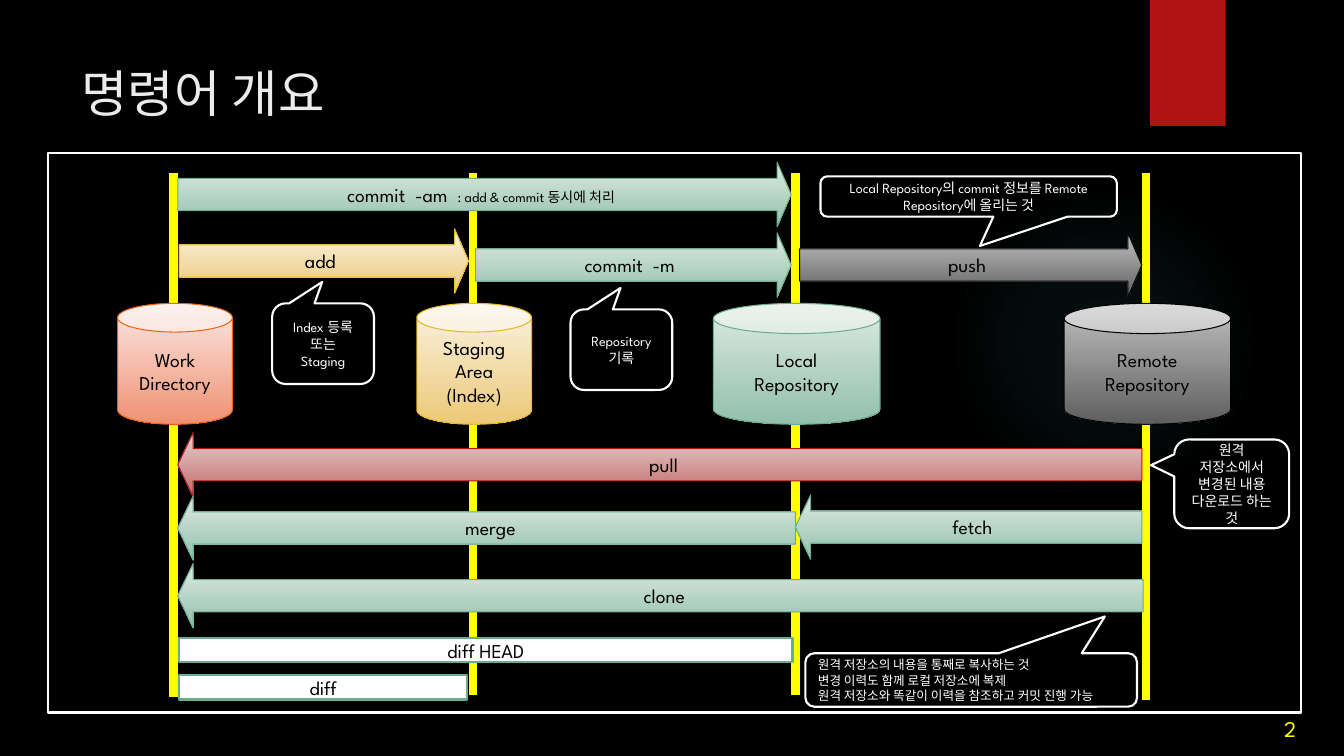
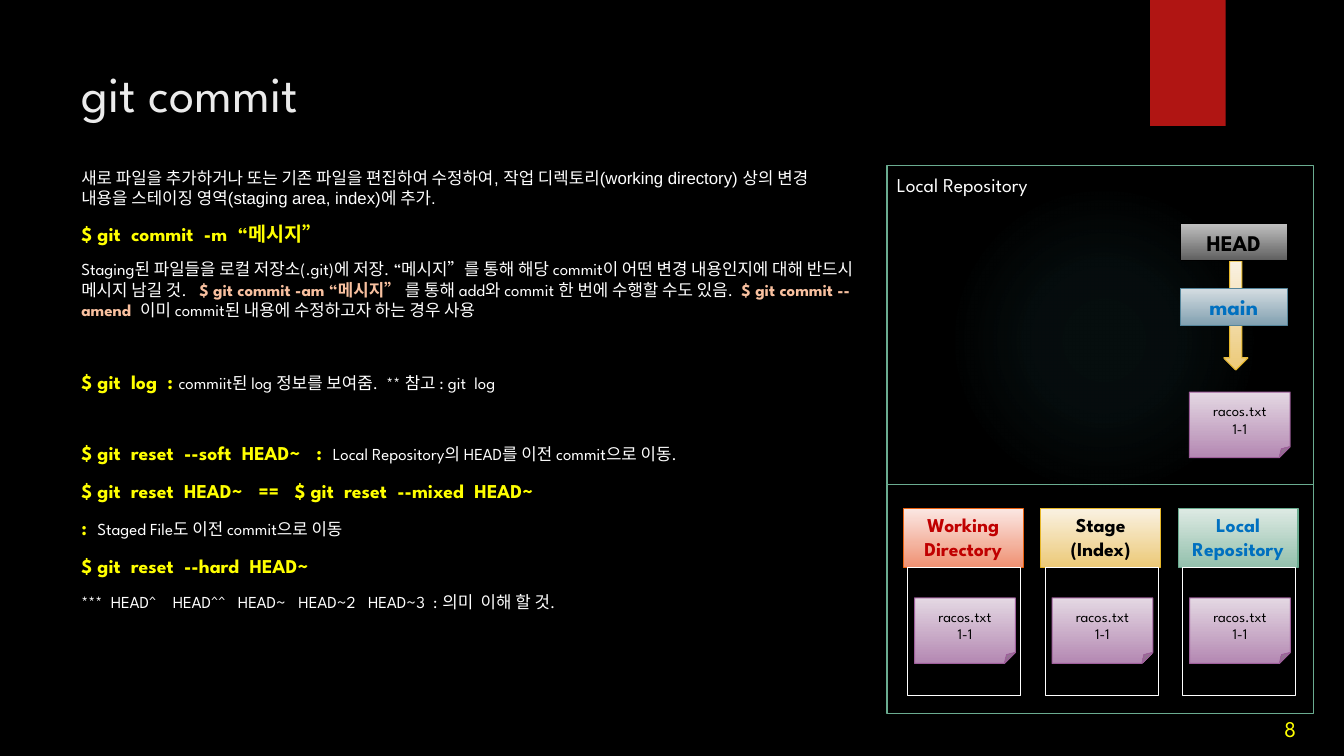
from dataclasses import dataclass, replace
from typing import NamedTuple

from lxml import etree
from pptx import Presentation
from pptx.dml import color as dml
from pptx.enum import shapes, text
from pptx.oxml import ns, parse_xml
from pptx.util import Pt

KIND = shapes.MSO_SHAPE
CENTER, LEFT = text.PP_ALIGN.CENTER, text.PP_ALIGN.LEFT
TOP, MIDDLE, BOTTOM = text.MSO_ANCHOR.TOP, text.MSO_ANCHOR.MIDDLE, text.MSO_ANCHOR.BOTTOM


class Box(NamedTuple):
    x: float
    y: float
    w: float
    h: float

    def inner(self, x, y, w, h):
        """Box placed relative to this one's top left corner."""
        return Box(self.x + x, self.y + y, w, h)

    def points(self):
        return [Pt(round(value, 2)) for value in self]


class Paint(NamedTuple):
    """Vertical gradient from top to bottom, with its outline."""
    top: str
    bottom: str
    line: str


@dataclass(frozen=True)
class Type:
    size: float
    color: str = "000000"
    bold: bool = False
    font: str = "League Spartan"


@dataclass(frozen=True)
class Theme:
    background: str = "000000"
    band: str = "B01513"
    glow: str = "50B9C1"
    white: str = "FFFFFF"
    yellow: str = "FFFF00"
    outline: str = "6AAC90"
    orange: Paint = Paint("FBE8E4", "EF9173", "EA6312")
    gold: Paint = Paint("FAF2E3", "ECC977", "E6B729")
    green: Paint = Paint("DEEAE4", "93C0AC", "6AAC90")
    gray: Paint = Paint("C1C1C1", "5E5E5E", "000000")
    red: Paint = Paint("E8D1D0", "C06969", "B01513")
    blue: Paint = Paint("D5DDE2", "81A0B0", "54849A")
    purple: Paint = Paint("E4D8E3", "B488B2", "9E5E9B")
    title: Type = Type(36, "EBEBEB")
    number: Type = Type(16, "FFFF00")
    label: Type = Type(14)
    remark: Type = Type(10)
    callout: Type = Type(10, "FFFFFF")
    small_callout: Type = Type(9, "FFFFFF")
    caption: Type = Type(14, "FFFFFF")
    command: Type = Type(14, "FFFF00", True)
    prose: Type = Type(12, "FFFFFF")
    intro: Type = Type(12, "FFFFFF", font="Arial")
    inline: Type = Type(12, "F8C09F", True)
    heading: Type = Type(14, bold=True)
    pointer: Type = Type(16, bold=True)
    note: Type = Type(10.5)


THEME = Theme()
TITLE_BOX = Box(51, 31, 741, 70.5)
DIAGRAM_BOX = Box(34.6, 109.4, 895, 399.6)
BODY_BOX = Box(51, 116, 567, 376)
REPOSITORY_BOX = Box(633.6, 118.1, 304.6, 228.2)
STAGES_BOX = Box(633.6, 346.3, 304.6, 163.4)


def rgb(value):
    return dml.RGBColor.from_string(value)


def write(shape, paragraphs, style, align=CENTER, anchor=MIDDLE):
    """Each paragraph is a string, or a list of (string, Type) spans."""
    frame = shape.text_frame
    frame.word_wrap = True
    frame.vertical_anchor = anchor
    for index, spans in enumerate(paragraphs):
        para = frame.add_paragraph() if index else frame.paragraphs[0]
        para.alignment = align
        for words, kind in [(spans, style)] if isinstance(spans, str) else spans:
            span = para.add_run()
            span.text = words
            span.font.size, span.font.bold = Pt(kind.size), kind.bold
            span.font.name = kind.font
            span.font.color.rgb = rgb(kind.color)


def add_text(page, box, paragraphs, style, align=LEFT, anchor=MIDDLE):
    shape = page.shapes.add_textbox(*box.points())
    write(shape, paragraphs, style, align, anchor)
    return shape


def add_block(page, kind, box, fill=None, line=None, width=0.75, adjust=()):
    """Preset shape; fill is a Paint, a colour, or None for no fill."""
    shape = page.shapes.add_shape(kind, *box.points())
    shape.shadow.inherit = False
    for index, value in enumerate(adjust):
        shape.adjustments[index] = value
    if isinstance(fill, Paint):
        shape.fill.gradient()
        shape.fill.gradient_angle = 270
        for stop, value in zip(shape.fill.gradient_stops, fill):
            stop.color.rgb = rgb(value)
        line = fill.line
    elif fill:
        shape.fill.solid()
        shape.fill.fore_color.rgb = rgb(fill)
    else:
        shape.fill.background()
    if line:
        shape.line.color.rgb = rgb(line)
        shape.line.width = Pt(width)
    else:
        shape.line.fill.background()
    return shape


def add_glow(page, box):
    shape = add_block(page, KIND.OVAL, box)
    stops = "".join(
        f'<a:gs pos="{place}000"><a:srgbClr val="{THEME.glow}">'
        f'<a:alpha val="{alpha}000"/></a:srgbClr></a:gs>'
        for place, alpha in ((0, 7), (36, 6), (69, 0)))
    gradient = parse_xml(
        f'<a:gradFill {ns.nsdecls("a")}><a:gsLst>{stops}</a:gsLst><a:path path="circle">'
        '<a:fillToRect l="50000" t="50000" r="50000" b="50000"/></a:path></a:gradFill>')
    properties = shape._element.spPr
    properties.replace(properties.find(ns.qn("a:noFill")), gradient)


def add_page(deck, title, number):
    page = deck.slides.add_slide(deck.slide_layouts[6])
    page.background.fill.solid()
    page.background.fill.fore_color.rgb = rgb(THEME.background)
    add_glow(page, Box(677.5, 131.8, 221.8, 221.8))
    add_block(page, KIND.RECTANGLE, Box(821.5, 0, 54, 90), THEME.band)
    add_text(page, TITLE_BOX, [title], THEME.title)
    add_text(page, Box(888.5, 473, 66.2, 60.5), [number], THEME.number, CENTER, BOTTOM)
    return page


def add_lane(page, x, top, bottom):
    lane = page.shapes.add_connector(
        shapes.MSO_CONNECTOR.STRAIGHT, Pt(x), Pt(top), Pt(x), Pt(bottom))
    lane.line.color.rgb = rgb(THEME.yellow)
    lane.line.width = Pt(6)
    etree.SubElement(lane._element.spPr, ns.qn("a:effectLst"))


def command_diagram(page, box):
    """Four stores on lanes, with the commands that move work between them."""
    lanes = (89.4, 303.1, 533.5, 784)
    stores = (
        (82, 388.8, THEME.orange, ["Work", "Directory"]),
        (82, 387.4, THEME.gold, ["Staging Area", "(Index)"]),
        (119, 387.4, THEME.green, ["Local", "Repository"]),
        (119, 390.3, THEME.gray, ["Remote", "Repository"]),
    )
    for x, (_, bottom, _, _) in zip(lanes, stores):
        add_lane(page, box.x + x, box.y + 14.4, box.y + bottom)
    for x, (width, _, paint, name) in zip(lanes, stores):
        can = add_block(page, KIND.CAN, box.inner(x + 1 - width / 2, 107.3, width, 86.4), paint)
        write(can, name, THEME.label)
    add_block(page, KIND.RECTANGLE, box, line=THEME.white, width=1.5)

    def between(first, last, y, height, gaps):
        left, right = lanes[first] + gaps[0], lanes[last] - gaps[1]
        return box.inner(left, y, right - left, height)

    commit_all = [("commit  -am  ", THEME.label), (": add & commit 동시에 처리", THEME.remark)]
    right, left = (KIND.RIGHT_ARROW, 0.217), (KIND.LEFT_ARROW, 0.239)
    arrows = (
        (right, 0, 2, 6.5, (3, 3), THEME.green, commit_all),
        (right, 0, 1, 54, (4, 3), THEME.gold, "add"),
        (right, 1, 2, 56.9, (2, 3), THEME.green, "commit  -m"),
        (right, 2, 3, 56.9, (3, 3), THEME.gray, "push"),
        (left, 0, 3, 199.5, (3, 3), THEME.red, "pull"),
        (left, 2, 3, 244.1, (0, 3), THEME.green, "fetch"),
        (left, 0, 2, 244.8, (3, 0), THEME.green, "merge"),
        (left, 0, 3, 293.1, (3, 2), THEME.green, "clone"),
    )
    for (kind, head), first, last, y, gaps, paint, name in arrows:
        arrow = add_block(page, kind, between(first, last, y, 46.1, gaps), paint,
                          adjust=(0.5, head))
        write(arrow, [name], THEME.label)

    for last, y, gap, name in ((2, 346.4, 2, "diff HEAD"), (1, 373, 4, "diff")):
        bar = add_block(page, KIND.FLOWCHART_PROCESS, between(0, last, y, 17.3, (4, gap)),
                        THEME.white, THEME.outline, 1.5)
        write(bar, [name], THEME.label)

    clone_remarks = ["원격 저장소의 내용을 통째로 복사하는 것",
                     "변경 이력도 함께 로컬 저장소에 복제",
                     "원격 저장소와 똑같이 이력을 참조하고 커밋 진행 가능"]
    callouts = (
        ((159.8, 107.3, 72.7, 57.6), (-0.008, -0.766), ["Index 등록", "또는", "Staging"],
         THEME.callout, CENTER),
        ((551.5, 16.6, 211.7, 28.8), (0.038, 1.227),
         ["Local Repository의 commit 정보를 Remote Repository에 올리는 것"],
         THEME.callout, CENTER),
        ((540.7, 357.2, 236.9, 38.2), (0.403, -1.187), clone_remarks,
         THEME.small_callout, LEFT),
        ((372.9, 111.6, 72.7, 57.6), (-0.008, -0.766), ["Repository기록"],
         THEME.callout, CENTER),
        ((804.2, 204.5, 82.1, 63.4), (-0.703, -0.21),
         ["원격 저장소에서 변경된 내용 다운로드 하는 것"], THEME.callout, CENTER),
    )
    for place, tip, words, style, align in callouts:
        callout = add_block(page, KIND.ROUNDED_RECTANGULAR_CALLOUT, box.inner(*place),
                            line=THEME.white, width=1.5, adjust=(*tip, 0.167))
        write(callout, words, style, align)


def commit_notes(page, box):
    command, prose, inline = THEME.command, THEME.prose, THEME.inline
    entries = (
        (0, [("새로 파일을 추가하거나 또는 기존 파일을 편집하여 수정하여, 작업 디렉토리(working directory) "
              "상의 변경 내용을 스테이징 영역(staging area, index)에 추가.", THEME.intro)]),
        (10, [("$ git  commit  -m  “메시지”", command)]),
        (10, [("Staging된 파일들을 로컬 저장소(.git)에 저장. “메시지”를 통해 해당 commit이 "
               "어떤 변경 내용인지에 대해 반드시 메시지 남길 것.   ", prose),
              ("$ git commit -am “메시지” ", inline),
              ("를 통해 add와 commit 한 번에 수행할 수도 있음.  ", prose),
              ("$ git commit --amend  ", inline),
              ("이미 commit된 내용에 수정하고자 하는 경우 사용", prose)]),
        (36, [("$ git  log  : ", command),
              ("commiit된 log 정보를 보여줌.  ** 참고 : git  log", prose)]),
        (34, [("$ git  reset  --soft  HEAD~   :  ", command),
              ("Local Repository의 HEAD를 이전 commit으로 이동.", prose)]),
        (10, [("$ git  reset  HEAD~   ==   $ git  reset  --mixed  HEAD~", command)]),
        (10, [(":  ", command), ("Staged File도 이전 commit으로 이동", prose)]),
        (10, [("$ git  reset  --hard  HEAD~", command)]),
        (10, [("***  HEAD^    HEAD^^   HEAD~   HEAD~2   HEAD~3  : 의미  이해 할 것.", prose)]),
    )
    body = add_text(page, box, [spans for _, spans in entries], prose, anchor=TOP)
    for para, (space, _) in zip(body.text_frame.paragraphs, entries):
        para.space_before = Pt(space)


def add_file(page, box):
    note = add_block(page, KIND.FOLDED_CORNER, box, THEME.purple)
    write(note, ["racos.txt", "1-1"], THEME.note)


def repository_panel(page, box):
    """Branch pointers leading to the committed file."""
    add_block(page, KIND.RECTANGLE, box, line=THEME.outline)
    add_text(page, box.inner(0, 2.2, 126.7, 24.5), ["Local Repository"], THEME.caption, anchor=TOP)
    group = page.shapes.add_group_shape()
    add_block(group, KIND.DOWN_ARROW, box.inner(240.5, 68.4, 17.3, 77.8), THEME.gold)
    for y, paint, name, color in ((41.7, THEME.gray, "HEAD", "000000"),
                                  (87.8, THEME.blue, "main", "0070C0")):
        tag = add_block(group, KIND.RECTANGLE, box.inner(209.5, y, 76.3, 26.6), paint)
        write(tag, [name], replace(THEME.pointer, color=color))
    add_file(page, box.inner(216, 162, 72, 46.8))


def stages_panel(page, box):
    """The file as held in each of the three areas."""
    add_block(page, KIND.RECTANGLE, box, line=THEME.outline)
    stages = (
        (THEME.orange, ["Working Directory"], "C00000"),
        (THEME.gold, ["Stage", "(Index)"], "000000"),
        (THEME.green, ["Local Repository"], "0070C0"),
    )
    for index, (paint, name, color) in enumerate(stages):
        x = 11.5 + index * 98.2
        header = add_block(page, KIND.RECTANGLE, box.inner(x, 16.6, 85.7, 42.5), paint)
        write(header, name, replace(THEME.heading, color=color), anchor=TOP)
        add_block(page, KIND.RECTANGLE, box.inner(x + 3.4, 59.1, 80.6, 91.4), line=THEME.white)
        add_file(page, box.inner(x + 8.2, 80.8, 72, 46.8))


def main():
    deck = Presentation()
    deck.slide_width, deck.slide_height = Pt(960), Pt(540)

    overview = add_page(deck, "명령어 개요", "2")
    command_diagram(overview, DIAGRAM_BOX)

    commit = add_page(deck, "git commit", "8")
    commit_notes(commit, BODY_BOX)
    stages_panel(commit, STAGES_BOX)
    repository_panel(commit, REPOSITORY_BOX)

    deck.save("out.pptx")


if __name__ == "__main__":
    main()
